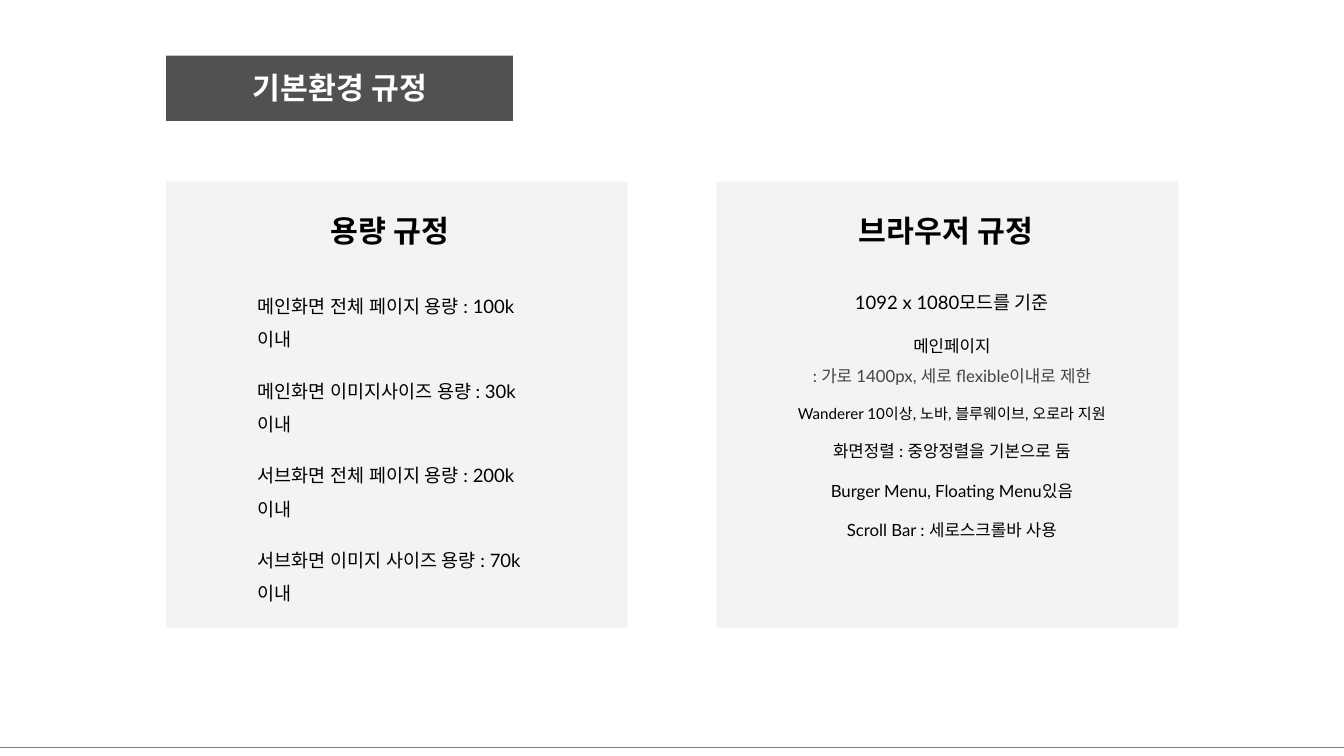
from lxml import etree
from pptx import Presentation
from pptx.dml.color import RGBColor
from pptx.enum.shapes import MSO_CONNECTOR, MSO_SHAPE
from pptx.enum.text import MSO_ANCHOR, MSO_AUTO_SIZE, PP_ALIGN
from pptx.oxml.ns import qn
from pptx.util import Cm, Pt

RECTANGLE = MSO_SHAPE.RECTANGLE
STRAIGHT = MSO_CONNECTOR.STRAIGHT
TOP, MIDDLE = MSO_ANCHOR.TOP, MSO_ANCHOR.MIDDLE
NO_AUTOFIT = MSO_AUTO_SIZE.NONE
LEFT, CENTER = PP_ALIGN.LEFT, PP_ALIGN.CENTER

FONT = "Lato"
COLORS = {"band": "262626", "panel": "F3F3F3", "text": "000000",
          "muted": "434343", "title": "FFFFFF", "rule": "808080"}
PAGE_WIDTH, PAGE_HEIGHT = 33.87, 19.05
HEADING_SIZE = 21.6
PANEL_TOP, PANEL_WIDTH, PANEL_HEIGHT = 4.57, 11.63, 11.25

CAPACITY_LINES = [
    ("메인화면 전체 페이지 용량 : 100k 이내", 13.2, "text", 12.9),
    ("메인화면 이미지사이즈 용량 : 30k 이내", 13.2, "text", 12.9),
    ("서브화면 전체 페이지 용량 : 200k 이내", 13.2, "text", 12.9),
    ("서브화면 이미지 사이즈 용량 : 70k 이내", 13.2, "text", 0),
]
BROWSER_LINES = [
    ("1092 x 1080모드를 기준", 13.2, "text", 8.6),
    ("메인페이지", 12, "text", 0),
    (": 가로 1400px, 세로 flexible이내로 제한", 12, "muted", 6.4),
    ("Wanderer 10이상, 노바, 블루웨이브, 오로라 지원", 10.8, "text", 6.4),
    ("화면정렬 : 중앙정렬을 기본으로 둠", 12, "text", 6.4),
    ("Burger Menu, Floating Menu있음", 12, "text", 6.4),
    ("Scroll Bar : 세로스크롤바 사용", 12, "text", 0),
]


def color(name):
    """Return the named colour."""
    return RGBColor.from_string(COLORS[name])


def add_block(page, box, fill):
    """Add a plain filled rectangle in the given box."""
    block = page.shapes.add_shape(RECTANGLE, *map(Cm, box))
    block.shadow.inherit = False
    block.fill.solid()
    block.fill.fore_color.rgb = color(fill)
    block.line.fill.background()
    return block


def set_frame(frame, anchor):
    """Give a text frame its wrapping, insets and anchor."""
    frame.word_wrap = True
    frame.auto_size = NO_AUTOFIT
    frame.vertical_anchor = anchor
    frame.margin_left = frame.margin_right = Cm(0.3)
    frame.margin_top = frame.margin_bottom = Cm(0.3)


def add_span(para, text, size, ink, bold=False):
    """Add one formatted run to a paragraph."""
    span = para.add_run()
    span.text = text
    span.font.name = FONT
    span.font.size = Pt(size)
    span.font.bold = bold
    span.font.color.rgb = color(ink)
    east_asian = etree.Element(qn("a:ea"), typeface=FONT)
    span.font._element.find(qn("a:latin")).addnext(east_asian)


def write_heading(shape, text, ink, anchor):
    """Write a centred bold heading into a shape."""
    set_frame(shape.text_frame, anchor)
    para = shape.text_frame.paragraphs[0]
    para.alignment = CENTER
    para.line_spacing = 1.0
    para.space_before = Pt(0)
    add_span(para, text, HEADING_SIZE, ink, bold=True)


def add_title(page, left, top):
    """Place the title on its translucent dark band."""
    band = add_block(page, (left, top, 8.74, 1.65), "band")
    tint = band.fill._xPr.find(qn("a:solidFill"))[0]
    etree.SubElement(tint, qn("a:alpha"), val="80000")
    title = page.shapes.title
    band.element.addnext(title.element)
    title.left, title.top = Cm(left + 0.38), Cm(top + 0.05)
    title.width, title.height = Cm(8), Cm(2.13)
    write_heading(title, "기본환경 규정", "title", TOP)


def add_panel(page, left, heading, heading_inset, lines, body, alignment):
    """Add a panel with a heading and a body placed relative to its corner."""
    add_block(page, (left, PANEL_TOP, PANEL_WIDTH, PANEL_HEIGHT), "panel")
    heading_box = page.shapes.add_textbox(
        Cm(left + heading_inset), Cm(PANEL_TOP + 0.18), Cm(8), Cm(2.13))
    write_heading(heading_box, heading, "text", MIDDLE)
    inset, drop, width, height = body
    body_box = page.shapes.add_textbox(
        Cm(left + inset), Cm(PANEL_TOP + drop), Cm(width), Cm(height))
    frame = body_box.text_frame
    set_frame(frame, TOP)
    for index, (text, size, ink, gap) in enumerate(lines):
        para = frame.add_paragraph() if index else frame.paragraphs[0]
        para.alignment = alignment
        para.line_spacing = 1.5
        para.space_after = Pt(gap)
        add_span(para, text, size, ink)


def add_footer_rule(page, top):
    """Draw the thin line across the foot of the page."""
    rule = page.shapes.add_connector(
        STRAIGHT, Cm(0), Cm(top), Cm(PAGE_WIDTH), Cm(top))
    rule.line.color.rgb = color("rule")
    rule.line.width = Pt(0.5)
    etree.SubElement(rule.element.spPr, qn("a:effectLst"))


def main():
    """Build and save the deck."""
    deck = Presentation()
    deck.slide_width, deck.slide_height = Cm(PAGE_WIDTH), Cm(PAGE_HEIGHT)
    page = deck.slides.add_slide(deck.slide_layouts.get_by_name("Title Only"))
    add_footer_rule(page, 18.84)
    add_title(page, 4.19, 1.4)
    add_panel(page, 4.19, "용량 규정", 1.65, CAPACITY_LINES,
              (2.01, 2.29, 7.59, 5.16), LEFT)
    add_panel(page, 18.06, "브라우저 규정", 1.78, BROWSER_LINES,
              (0.99, 2.19, 9.88, 8.08), CENTER)
    deck.save("out.pptx")


if __name__ == "__main__":
    main()
